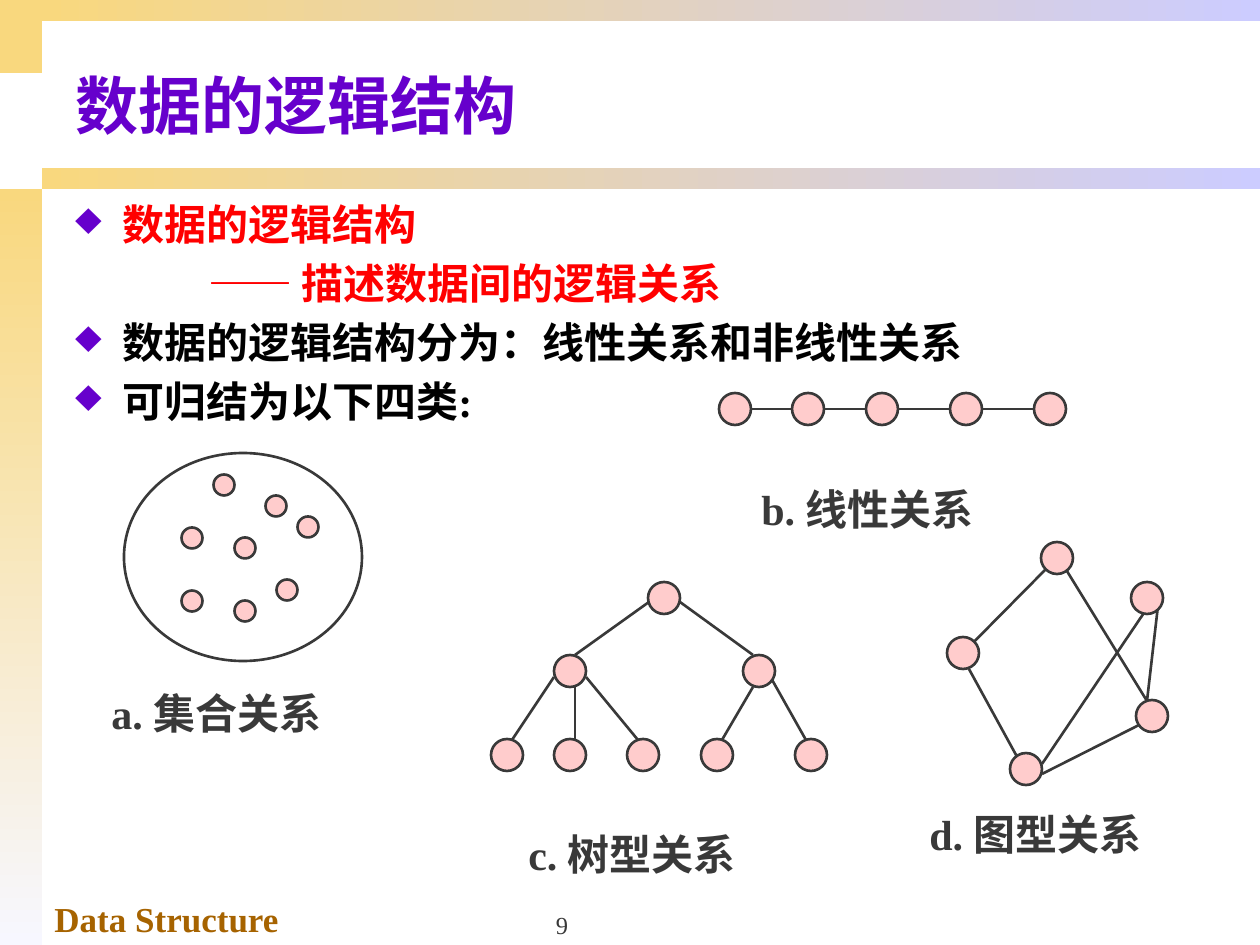
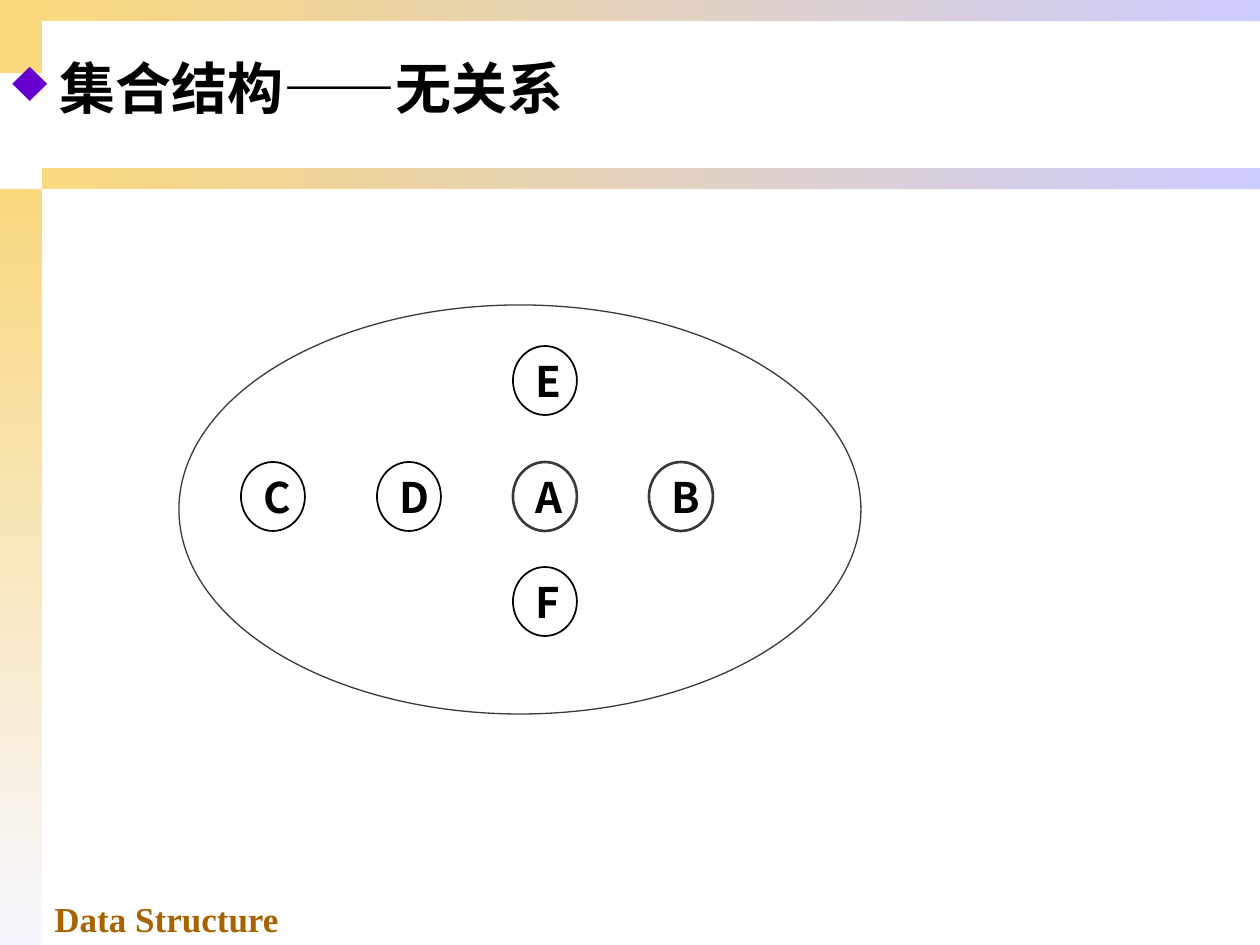
import lxml.etree
import pptx
import pptx.dml.color
import pptx.enum.shapes
import pptx.enum.text
import pptx.oxml.ns
import pptx.util

PX = 914400 / 126
COLORS = {
    "gold": "F9D87E", "lavender": "CCCCFF", "mist": "F7F7FF", "white": "FFFFFF",
    "violet": "6600CC", "red": "FF0000", "black": "000000", "gray": "393939",
    "pink": "FFCCCC", "brown": "A66300",
}
LATIN, CHINESE = "Times New Roman", "Noto Sans CJK SC"
SHAPES = pptx.enum.shapes.MSO_SHAPE
ANCHOR = pptx.enum.text.MSO_ANCHOR
ALIGN = pptx.enum.text.PP_ALIGN


def px(value):
    return pptx.util.Emu(round(value * PX))


def rgb(name):
    return pptx.dml.color.RGBColor.from_string(COLORS[name])


def add_xml(parent, tag, **attributes):
    return lxml.etree.SubElement(parent, pptx.oxml.ns.qn(tag), attributes)


def set_all(target, values):
    for name, value in values.items():
        setattr(target, name, value)


class Painter:
    """Holds the deck style and the page being drawn."""

    def __init__(self):
        self.deck = pptx.Presentation()
        set_all(self.deck, {"slide_width": px(1260), "slide_height": px(945)})
        self.page = None

    def new_page(self):
        self.page = self.deck.slides.add_slide(self.deck.slide_layouts[6])
        # Gold corner, side strip and the two bands
        self.shape(SHAPES.RECTANGLE, (0, 0, 42, 73), "gold")
        self.gradient((0, 189, 42, 756), "mist", 270)
        for top in (168, 0):
            self.gradient((42, top, 1218, 21), "lavender", 0)
        # Footer
        self.text((42, 891, 441, 54), ["Data Structure"], 20, "brown", drop=0)

    def shape(self, kind, area, fill=None, line=None, weight=1.5):
        shape = self.page.shapes.add_shape(kind, *map(px, area))
        shape.shadow.inherit = False
        if fill:
            shape.fill.solid()
            shape.fill.fore_color.rgb = rgb(fill)
        else:
            shape.fill.background()
        if line:
            shape.line.color.rgb = rgb(line)
            shape.line.width = pptx.util.Pt(weight)
        else:
            shape.line.fill.background()
        return shape

    def gradient(self, area, end, angle):
        fill = self.shape(SHAPES.RECTANGLE, area).fill
        fill.gradient()
        fill.gradient_angle = angle
        for stop, name in zip(fill.gradient_stops, ("gold", end)):
            stop.color.rgb = rgb(name)

    def node(self, center, size=32):
        x, y = center
        self.shape(SHAPES.OVAL, (x - size / 2, y - size / 2, size, size), "pink", "gray")

    def line(self, start, end):
        line = self.page.shapes.add_connector(
            pptx.enum.shapes.MSO_CONNECTOR.STRAIGHT, *map(px, start + end))
        line.line.color.rgb = rgb("gray")
        line.line.width = pptx.util.Pt(1.5)
        add_xml(line._element.spPr, "a:effectLst")

    def text(self, area, lines, size, color, font=LATIN, bold=True, drop=0.16,
             anchor=ANCHOR.TOP, align=ALIGN.LEFT):
        """Each line is a string or (string, colour, indent in px, has bullet)."""
        box = self.page.shapes.add_textbox(*map(px, area))
        shift = drop * size
        set_all(box.text_frame, {
            "word_wrap": True, "vertical_anchor": anchor,
            "margin_top": px(6 + shift), "margin_bottom": px(6 - shift),
        })
        for index, line in enumerate(lines):
            words, tint, indent, bullet = (
                (line, color, 0, False) if isinstance(line, str) else line)
            frame = box.text_frame
            para = frame.add_paragraph() if index else frame.paragraphs[0]
            self.indent(para, indent, bullet)
            set_all(para, {
                "alignment": align,
                "line_spacing": pptx.util.Pt(1.2 * size),
                "space_before": pptx.util.Pt(0.2 * size if index else 0),
            })
            span = para.add_run()
            span.text = words
            set_all(span.font, {"name": font, "size": pptx.util.Pt(size), "bold": bold})
            span.font.color.rgb = rgb(tint)
            add_xml(span._r.get_or_add_rPr(), "a:ea", typeface=CHINESE)

    def indent(self, para, indent, bullet):
        properties = para._p.get_or_add_pPr()
        properties.set("marL", str(px(indent)))
        properties.set("indent", str(px(-indent if bullet else 0)))
        if bullet:
            tint = add_xml(properties, "a:buClr")
            add_xml(tint, "a:srgbClr", val=COLORS["violet"])
            add_xml(properties, "a:buSzPct", val="110000")
            add_xml(properties, "a:buChar", char="♦")
        else:
            add_xml(properties, "a:buNone")


def draw_logical_structures(painter):
    painter.new_page()
    painter.text((431, 882, 262, 63), ["9"], 14, "gray", bold=False, drop=0,
                 anchor=ANCHOR.BOTTOM, align=ALIGN.CENTER)
    painter.text((63, 31, 1197, 135), ["数据的逻辑结构"], 36, "violet",
                 anchor=ANCHOR.MIDDLE)
    painter.text((63, 189, 1197, 683), [
        ("数据的逻辑结构", "red", 47, True),
        ("—— 描述数据间的逻辑关系", "red", 133, False),
        ("数据的逻辑结构分为：线性关系和非线性关系", "black", 47, True),
        ("可归结为以下四类:", "black", 47, True),
    ], 24, "black")

    # Set: loose dots in an oval
    painter.shape(SHAPES.OVAL, (124, 453, 238, 208), "white", "gray")
    for center in ((224, 485), (192, 538), (245, 548), (308, 527),
                   (287, 590), (192, 601), (276, 506), (245, 611)):
        painter.node(center, 21)

    # Linear: a chain
    painter.line((747, 409), (1062, 409))
    for x in (735, 808, 882, 966, 1050):
        painter.node((x, 409))

    # Graph
    for start, end in (((1062, 563), (1147, 701)), ((1052, 563), (963, 653)),
                       ((969, 669), (1021, 764)), ((1158, 606), (1147, 701)),
                       ((1042, 764), (1150, 604)), ((1147, 721), (1042, 774))):
        painter.line(start, end)
    for center in ((1057, 558), (1147, 598), (1026, 769), (963, 653), (1152, 716)):
        painter.node(center)

    # Tree
    for start, end in (((649, 602), (575, 655)), ((680, 602), (753, 655)),
                       ((554, 677), (512, 740)), ((575, 687), (575, 740)),
                       ((586, 677), (638, 740)), ((753, 687), (722, 740)),
                       ((766, 669), (806, 740))):
        painter.line(start, end)
    for center in ((664, 598), (570, 671), (759, 671)):
        painter.node(center)
    for x in (507, 570, 643, 717, 811):
        painter.node((x, 755))

    # Captions
    for left, top, caption in ((99, 678, "a. 集合关系"), (749, 474, "b. 线性关系"),
                               (516, 819, "c. 树型关系"), (917, 799, "d. 图型关系")):
        painter.text((left, top, 262, 63), [caption], 24, "gray")


def draw_set_structure(painter):
    painter.new_page()
    painter.text((0, 42, 1260, 105), [("集合结构——无关系", "black", 47, True)],
                 32, "black")
    # Lettered elements on a column grid
    for letter, column, top, color, weight in (
            ("D", 1, 462, "black", 1), ("E", 2, 346, "black", 1),
            ("F", 2, 567, "black", 1), ("C", 0, 462, "black", 1),
            ("B", 3, 462, "gray", 1.5), ("A", 2, 462, "gray", 1.5)):
        left = 241 + 136 * column
        painter.shape(SHAPES.OVAL, (left, top, 64, 69), None, color, weight)
        painter.text((left + 10, top, 64, 63), [letter], 24, "black", font=CHINESE)
    # The enclosing set
    painter.shape(SHAPES.OVAL, (179, 305, 682, 409), None, "gray", 0.75)


def main():
    painter = Painter()
    draw_logical_structures(painter)
    draw_set_structure(painter)
    painter.deck.save("out.pptx")


if __name__ == "__main__":
    main()
